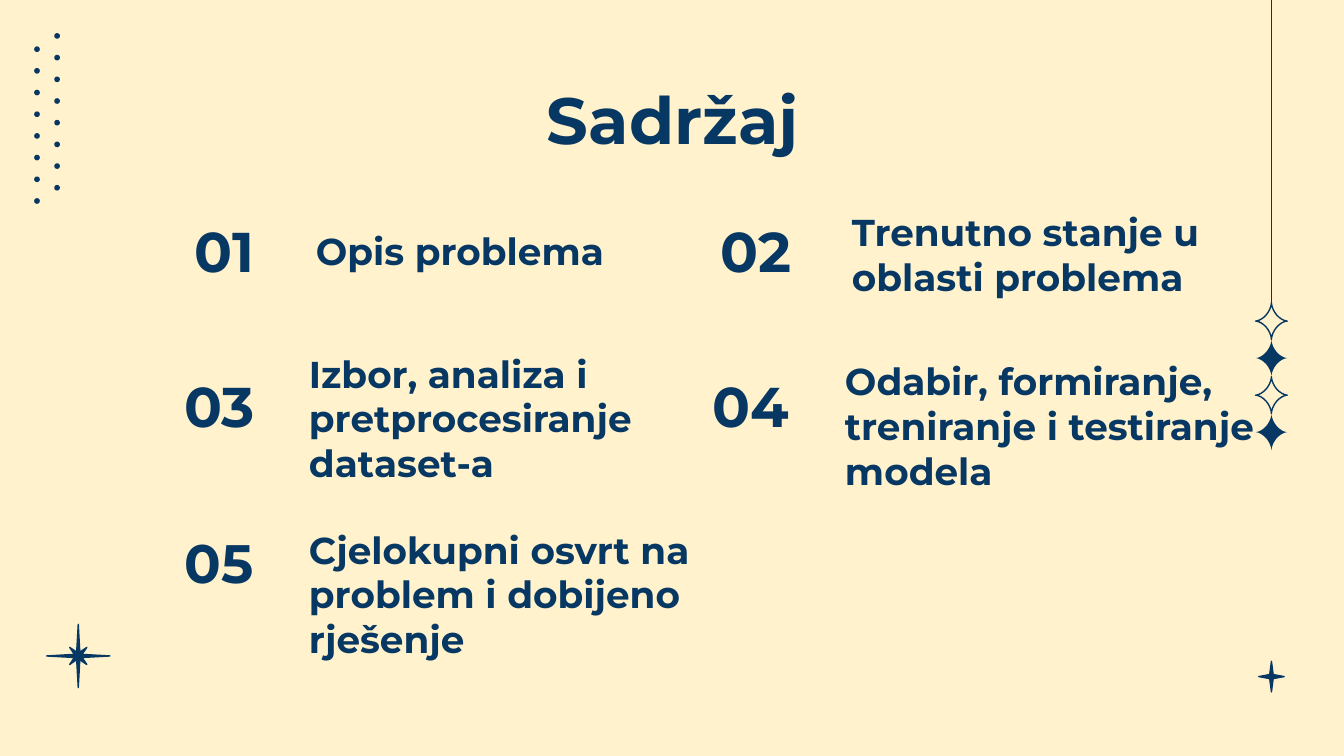
from dataclasses import dataclass
from math import copysign, cos, pi, sin

from lxml.etree import SubElement
from pptx import Presentation
from pptx.dml.color import RGBColor
from pptx.enum.shapes import MSO_CONNECTOR, MSO_SHAPE
from pptx.enum.text import MSO_ANCHOR as Anchor, MSO_AUTO_SIZE, PP_ALIGN as Align
from pptx.oxml.ns import qn
from pptx.util import Cm, Pt

NAVY = RGBColor(0x07, 0x37, 0x63)
CREAM = RGBColor(0xFF, 0xF2, 0xCC)
FONT = "Montserrat"
THIN = Pt(0.75)
INSET = Cm(0.25)

BADGE_WIDTH, BADGE_HEIGHT = 2.26, 1.47
DOT_SIZE, DOT_PITCH, DOTS_PER_COLUMN = 0.08, 0.41, 8
DOT_COLUMNS = [(0.66, 0.89), (1.04, 0.64)]
CHAIN_X, CHAIN_TOP = 24.03, 5.72
SPARKLE_WIDTH, SPARKLE_HEIGHT = 0.6, 0.7

Point = tuple[float, float]


@dataclass
class Topic:
    """An agenda entry: numbered badge plus heading, in centimetres."""
    number: str
    heading: str
    badge: Point
    box: tuple[float, float, float, float]
    number_size: int = 30


TOPICS = [
    Topic("01", "Opis problema", (3.12, 3.99), (5.72, 3.94, 6.43, 1.47)),
    Topic("02", "Trenutno stanje u oblasti problema",
          (13.16, 3.99), (15.85, 3.94, 8.1, 1.96)),
    Topic("03", "Izbor, analiza i pretprocesiranje dataset-a",
          (3.02, 6.93), (5.59, 6.93, 9.07, 2.49)),
    Topic("04", "Odabir, formiranje, treniranje i testiranje modela",
          (13.06, 6.93), (15.72, 6.6, 8.59, 2.97)),
    Topic("05", "Cjelokupni osvrt na problem i dobijeno rješenje",
          (3.02, 9.88), (5.59, 9.65, 10.19, 3.1), 29),
]


def write_text(shape, text: str, size: int, align: Align, anchor: Anchor,
               wrap: bool = True) -> None:
    frame = shape.text_frame
    frame.auto_size = MSO_AUTO_SIZE.NONE
    frame.word_wrap = wrap
    frame.vertical_anchor = anchor
    frame.margin_left = frame.margin_right = INSET
    frame.margin_top = frame.margin_bottom = INSET
    para = frame.paragraphs[0]
    para.alignment = align
    span = para.add_run()
    span.text = text
    span.font.name = FONT
    span.font.size = Pt(size)
    span.font.bold = True
    span.font.color.rgb = NAVY


def paint(shape, filled: bool = True, outlined: bool = True) -> None:
    shape.shadow.inherit = False
    if filled:
        shape.fill.solid()
        shape.fill.fore_color.rgb = NAVY
    else:
        shape.fill.background()
    if outlined:
        shape.line.color.rgb = NAVY
        shape.line.width = THIN
    else:
        shape.line.fill.background()


def star_points(radii: list[float]) -> list[Point]:
    """Unit star whose corner radii repeat in each of its four quarters."""
    count = 4 * len(radii)
    return [(radii[i % len(radii)] * sin(2 * pi * i / count),
             -radii[i % len(radii)] * cos(2 * pi * i / count))
            for i in range(count)]


def sparkle_points(steps: int = 48, power: float = 3.2) -> list[Point]:
    """Unit four-pointed star with concave curved sides."""
    def bend(value: float) -> float:
        return copysign(abs(value) ** power, value)

    angles = [2 * pi * i / steps for i in range(steps)]
    return [(bend(sin(angle)), -bend(cos(angle))) for angle in angles]


def draw_outline(page, points: list[Point], center: Point,
                 radius_x: float, radius_y: float):
    corners = [(Cm(center[0] + x * radius_x), Cm(center[1] + y * radius_y))
               for x, y in points]
    builder = page.shapes.build_freeform(*corners[0])
    builder.add_line_segments(corners[1:], close=True)
    return builder.convert_to_shape()


def draw_dots(page) -> None:
    for left, top in DOT_COLUMNS:
        for row in range(DOTS_PER_COLUMN):
            paint(page.shapes.add_shape(
                MSO_SHAPE.OVAL, Cm(left), Cm(top + row * DOT_PITCH),
                Cm(DOT_SIZE), Cm(DOT_SIZE)))


def draw_sparkle_chain(page) -> None:
    for index in range(4):
        center = (CHAIN_X, CHAIN_TOP + (index + 0.5) * SPARKLE_HEIGHT)
        sparkle = draw_outline(page, sparkle_points(), center,
                               SPARKLE_WIDTH / 2, SPARKLE_HEIGHT / 2)
        solid = index % 2 == 1
        paint(sparkle, filled=solid, outlined=not solid)
    thread = page.shapes.add_connector(
        MSO_CONNECTOR.STRAIGHT, Cm(CHAIN_X), Cm(CHAIN_TOP), Cm(CHAIN_X), Cm(0))
    thread.line.color.rgb = NAVY
    thread.line.width = THIN
    SubElement(thread.element.spPr, qn("a:effectLst"))


def draw_topic(page, topic: Topic) -> None:
    badge = page.shapes.add_shape(
        MSO_SHAPE.ROUNDED_RECTANGLE, *map(Cm, topic.badge),
        Cm(BADGE_WIDTH), Cm(BADGE_HEIGHT))
    badge.adjustments[0] = 0.5
    paint(badge, outlined=False)
    badge.fill.fore_color.rgb = CREAM
    write_text(badge, topic.number, topic.number_size, Align.CENTER,
               Anchor.MIDDLE, wrap=False)
    heading = page.shapes.add_textbox(*map(Cm, topic.box))
    write_text(heading, topic.heading, 20, Align.LEFT, Anchor.BOTTOM)


def main() -> None:
    deck = Presentation()
    deck.slide_width, deck.slide_height = Cm(25.4), Cm(14.29)
    page = deck.slides.add_slide(deck.slide_layouts[5])
    page.background.fill.solid()
    page.background.fill.fore_color.rgb = CREAM

    paint(draw_outline(page, star_points([1, 0.13, 0.38, 0.13]),
                       (1.48, 12.4), 0.6, 0.6))
    draw_dots(page)
    paint(draw_outline(page, star_points([1, 0.19]), (CHAIN_X, 12.79), 0.24, 0.29))
    draw_sparkle_chain(page)

    title = page.shapes.title
    title.left, title.top = Cm(2.01), Cm(1.24)
    title.width, title.height = Cm(21.41), Cm(1.6)
    write_text(title, "Sadržaj", 35, Align.CENTER, Anchor.TOP)

    for topic in TOPICS:
        draw_topic(page, topic)
    deck.save("out.pptx")


if __name__ == "__main__":
    main()
